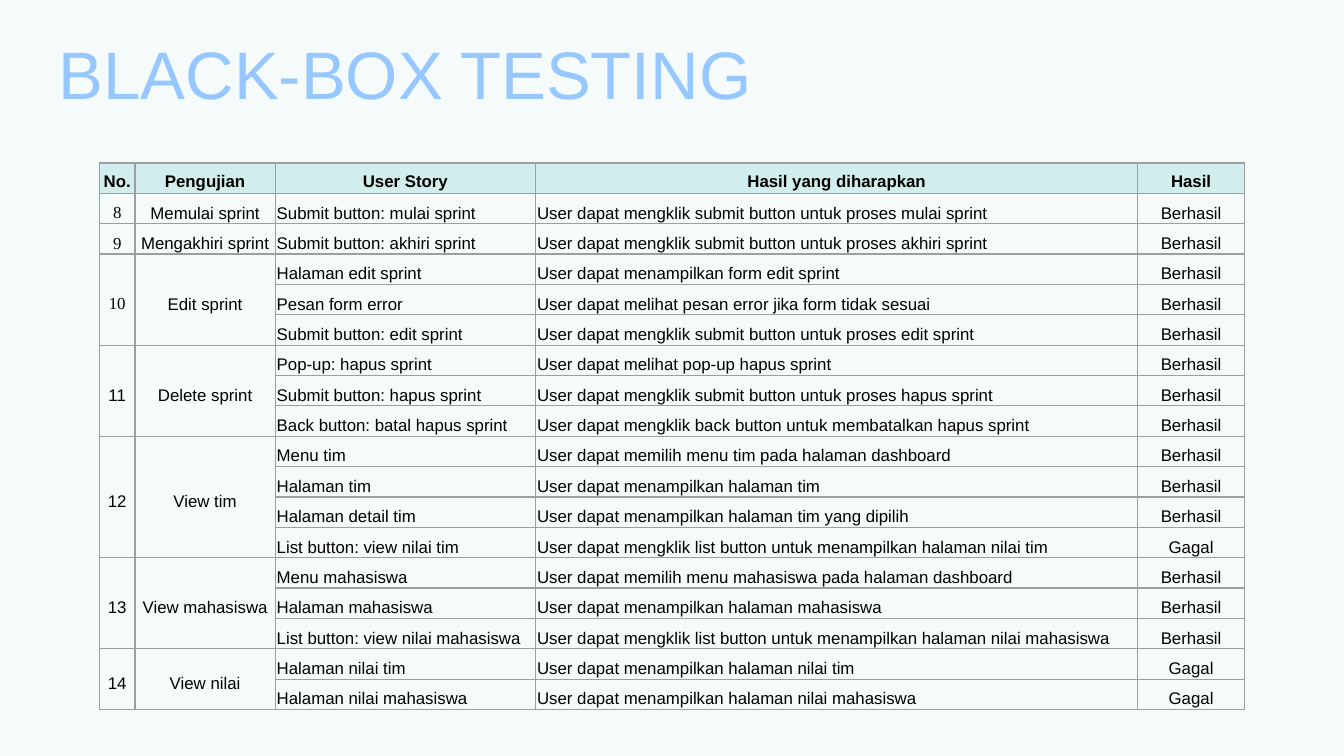
from lxml.etree import SubElement as Sub
from pptx import Presentation
from pptx.dml.color import RGBColor as Rgb
from pptx.enum.text import MSO_ANCHOR as Anchor, PP_ALIGN as Align
from pptx.oxml.ns import qn
from pptx.util import Cm, Pt

FONT = "Arial"
INK, GRID, HEAD = "000000", "9E9E9E", "D2EDED"
COLS = [0.67, 2.65, 4.92, 11.38, 2.02]
ROW = 0.5
TITLES = ["No.", "Pengujian", "User Story", "Hasil yang diharapkan", "Hasil"]
OK, BAD = "Berhasil", "Gagal"
SUBMIT = "User dapat mengklik submit button untuk proses "
SHOW = "User dapat menampilkan "

# Number, test, and its stories: story, expected result, outcome
TESTS = [
    ("8", "Memulai sprint", [
        ("Submit button: mulai sprint", SUBMIT + "mulai sprint", OK)]),
    ("9", "Mengakhiri sprint", [
        ("Submit button: akhiri sprint", SUBMIT + "akhiri sprint", OK)]),
    ("10", "Edit sprint", [
        ("Halaman edit sprint", SHOW + "form edit sprint", OK),
        ("Pesan form error", "User dapat melihat pesan error jika form tidak sesuai", OK),
        ("Submit button: edit sprint", SUBMIT + "edit sprint", OK)]),
    ("11", "Delete sprint", [
        ("Pop-up: hapus sprint", "User dapat melihat pop-up hapus sprint", OK),
        ("Submit button: hapus sprint", SUBMIT + "hapus sprint", OK),
        ("Back button: batal hapus sprint",
         "User dapat mengklik back button untuk membatalkan hapus sprint", OK)]),
    ("12", "View tim", [
        ("Menu tim", "User dapat memilih menu tim pada halaman dashboard", OK),
        ("Halaman tim", SHOW + "halaman tim", OK),
        ("Halaman detail tim", SHOW + "halaman tim yang dipilih", OK),
        ("List button: view nilai tim",
         "User dapat mengklik list button untuk menampilkan halaman nilai tim", BAD)]),
    ("13", "View mahasiswa", [
        ("Menu mahasiswa", "User dapat memilih menu mahasiswa pada halaman dashboard", OK),
        ("Halaman mahasiswa", SHOW + "halaman mahasiswa", OK),
        ("List button: view nilai mahasiswa",
         "User dapat mengklik list button untuk menampilkan halaman nilai mahasiswa", OK)]),
    ("14", "View nilai", [
        ("Halaman nilai tim", SHOW + "halaman nilai tim", BAD),
        ("Halaman nilai mahasiswa", SHOW + "halaman nilai mahasiswa", BAD)]),
]


def color(code):
    return Rgb.from_string(code)


def style(item, form):
    for name, value in form.items():
        setattr(item, name, value)


def write(para, text, size, ink, font=FONT, bold=False):
    run = para.add_run()
    run.text = text
    style(run.font, {"name": font, "size": Pt(size), "bold": bold})
    run.font.color.rgb = color(ink)


def add_title(slide, text):
    box = slide.shapes.add_textbox(Cm(0.86), Cm(0.23), Cm(24.54), Cm(1.6))
    frame = box.text_frame
    style(frame, {"word_wrap": True, "vertical_anchor": Anchor.TOP,
                  "margin_left": Cm(0.25), "margin_right": Cm(0.25),
                  "margin_top": Cm(0.39), "margin_bottom": Cm(0.25)})
    write(frame.paragraphs[0], text, 36, "96C7FE")


def add_edges(cell):
    props = cell._tc.get_or_add_tcPr()
    for side in ("a:lnL", "a:lnR", "a:lnT", "a:lnB"):
        line = Sub(props, qn(side), w=str(Pt(0.75)))
        Sub(Sub(line, qn("a:solidFill")), qn("a:srgbClr"), val=GRID)


def fill_cell(cell, text, col, head):
    style(cell, {"margin_left": Cm(0.03), "margin_right": Cm(0.03),
                 "margin_top": 0, "margin_bottom": 0,
                 "vertical_anchor": Anchor.TOP if head else Anchor.MIDDLE})
    add_edges(cell)
    if head:
        cell.fill.solid()
        cell.fill.fore_color.rgb = color(HEAD)
    else:
        cell.fill.background()
    para = cell.text_frame.paragraphs[0]
    left = col in (2, 3) and not head
    style(para, {"alignment": Align.LEFT if left else Align.CENTER,
                 "line_spacing": 1.5})
    font = "Times New Roman" if text in ("8", "9", "10") else FONT
    write(para, text, 9, INK, font, head)


def add_tests(slide):
    # One row per story; number and test stand in the first row of a group
    rows = [TITLES]
    spans = []
    for num, test, cases in TESTS:
        spans.append((len(rows), len(cases)))
        for i, case in enumerate(cases):
            rows.append([*(("", "") if i else (num, test)), *case])

    frame = slide.shapes.add_table(len(rows), len(COLS), Cm(1.88), Cm(3.08),
                                   Cm(sum(COLS)), Cm(ROW * len(rows)))
    table = frame.table
    style(table, {"first_row": False, "horz_banding": False})
    for col, width in zip(table.columns, COLS):
        col.width = Cm(width)
    for r, row in enumerate(rows):
        table.rows[r].height = Cm(ROW)
        for c, text in enumerate(row):
            fill_cell(table.cell(r, c), text, c, r == 0)

    # Join the number and test cells of each group
    for top, count in spans:
        if count > 1:
            for c in (0, 1):
                table.cell(top, c).merge(table.cell(top + count - 1, c))


def main():
    deck = Presentation()
    style(deck, {"slide_width": Cm(25.4), "slide_height": Cm(14.29)})
    slide = deck.slides.add_slide(deck.slide_layouts[6])
    back = slide.background.fill
    back.solid()
    back.fore_color.rgb = color("F5FBFB")
    add_title(slide, "BLACK-BOX TESTING")
    add_tests(slide)
    deck.save("out.pptx")


if __name__ == "__main__":
    main()
